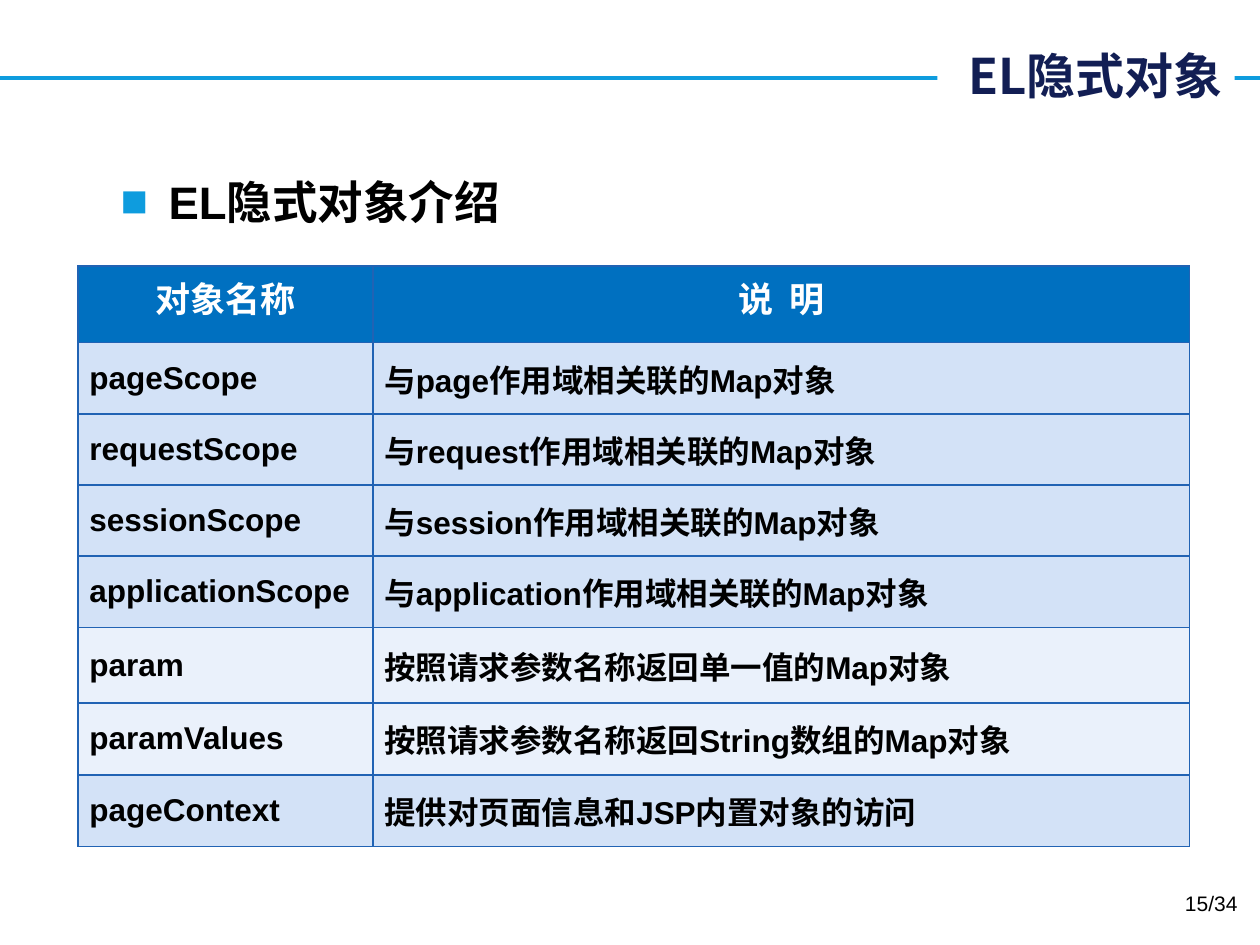
from lxml import etree
from pptx import Presentation
from pptx.dml.color import RGBColor
from pptx.enum.shapes import MSO_CONNECTOR, MSO_SHAPE
from pptx.enum.text import MSO_ANCHOR, PP_ALIGN
from pptx.oxml.ns import qn
from pptx.util import Inches, Pt

LEFT, CENTER, RIGHT = PP_ALIGN.LEFT, PP_ALIGN.CENTER, PP_ALIGN.RIGHT
TOP, MIDDLE = MSO_ANCHOR.TOP, MSO_ANCHOR.MIDDLE
STRAIGHT, RECTANGLE = MSO_CONNECTOR.STRAIGHT, MSO_SHAPE.RECTANGLE
LATIN_FONT, CHINESE_FONT = "Arial", "Noto Sans CJK SC"

ACCENT, NAVY, BLACK, WHITE = "0E9CDE", "121E54", "000000", "FFFFFF"
HEADER_FILL, BORDER = "0070C0", "2163B4"
SCOPE_FILL, PARAM_FILL = "D3E2F7", "EAF1FB"

HEADERS = ("对象名称", "说  明")
OBJECTS = [
    (f"{scope}Scope", f"与{scope}作用域相关联的Map对象", SCOPE_FILL)
    for scope in ("page", "request", "session", "application")
] + [
    ("param", "按照请求参数名称返回单一值的Map对象", PARAM_FILL),
    ("paramValues", "按照请求参数名称返回String数组的Map对象", PARAM_FILL),
    ("pageContext", "提供对页面信息和JSP内置对象的访问", SCOPE_FILL),
]
COLUMN_WIDTHS = (2.34, 6.48)
ROW_HEIGHTS = (0.61, 0.565, 0.565, 0.565, 0.565, 0.6, 0.57, 0.57)


def color(value):
    return RGBColor.from_string(value)


def set_attributes(target, values):
    for name, value in values.items():
        setattr(target, name, value)


def write_text(frame, text, size, font_color, name=LATIN_FONT, bold=True,
               align=LEFT, space=0):
    paragraph = frame.paragraphs[0]
    set_attributes(paragraph, {"alignment": align, "space_before": Pt(size * space)})
    run = paragraph.add_run()
    run.text = text
    set_attributes(run.font, {"size": Pt(size), "bold": bold, "name": name})
    run.font.color.rgb = color(font_color)
    east_asian = etree.SubElement(run.font._element, qn("a:ea"))
    east_asian.set("typeface", CHINESE_FONT)
    return paragraph


def add_rule(slide):
    line = slide.shapes.add_connector(
        STRAIGHT, Inches(0), Inches(0.62), Inches(10), Inches(0.62))
    line.line.color.rgb = color(ACCENT)
    line.line.width = Pt(2.25)
    etree.SubElement(line._element.spPr, qn("a:effectLst"))


def add_title(slide, text):
    shape = slide.shapes.add_shape(
        RECTANGLE, Inches(7.44), Inches(0.31), Inches(2.36), Inches(0.57))
    shape.shadow.inherit = False
    shape.fill.solid()
    shape.fill.fore_color.rgb = color(WHITE)
    shape.line.fill.background()
    set_attributes(shape.text_frame, {"word_wrap": False, "vertical_anchor": MIDDLE})
    write_text(shape.text_frame, text, 28, NAVY, CHINESE_FONT, align=RIGHT)


def add_text(slide, box, text, size, **options):
    shape = slide.shapes.add_textbox(*(Inches(value) for value in box))
    shape.text_frame.word_wrap = True
    return write_text(shape.text_frame, text, size, BLACK, **options)


def add_bullet(paragraph):
    properties = paragraph._p.get_or_add_pPr()
    properties.set("marL", str(Inches(0.38)))
    properties.set("indent", str(Inches(-0.38)))
    bullet_color = etree.SubElement(properties, qn("a:buClr"))
    etree.SubElement(bullet_color, qn("a:srgbClr")).set("val", ACCENT)
    etree.SubElement(properties, qn("a:buFont")).set("typeface", LATIN_FONT)
    etree.SubElement(properties, qn("a:buChar")).set("char", "■")


def add_borders(cell):
    properties = cell._tc.get_or_add_tcPr()
    for index, side in enumerate(("a:lnL", "a:lnR", "a:lnT", "a:lnB")):
        border = etree.Element(qn(side), w=str(Pt(1)))
        fill = etree.SubElement(border, qn("a:solidFill"))
        etree.SubElement(fill, qn("a:srgbClr")).set("val", BORDER)
        properties.insert(index, border)


def format_cell(cell, fill, anchor):
    cell.fill.solid()
    cell.fill.fore_color.rgb = color(fill)
    set_attributes(cell, {
        "vertical_anchor": anchor,
        "margin_left": Inches(0.09), "margin_right": Inches(0.09),
        "margin_top": Inches(0.05), "margin_bottom": Inches(0.05),
    })
    add_borders(cell)


def add_object_table(slide):
    table = slide.shapes.add_table(
        len(ROW_HEIGHTS), len(COLUMN_WIDTHS), Inches(0.62), Inches(2.11),
        Inches(sum(COLUMN_WIDTHS)), Inches(sum(ROW_HEIGHTS))).table
    for column, width in zip(table.columns, COLUMN_WIDTHS):
        column.width = Inches(width)
    for row, height in zip(table.rows, ROW_HEIGHTS):
        row.height = Inches(height)
    for cell, text in zip(table.rows[0].cells, HEADERS):
        format_cell(cell, HEADER_FILL, TOP)
        write_text(cell.text_frame, text, 20, WHITE, CHINESE_FONT,
                   align=CENTER, space=0.2)
    for index, (name, description, fill) in enumerate(OBJECTS, 1):
        for cell, text in zip(table.rows[index].cells, (name, description)):
            format_cell(cell, fill, MIDDLE)
            write_text(cell.text_frame, text, 18, BLACK,
                       space=0 if text == "pageScope" else 0.2)


def main():
    presentation = Presentation()
    set_attributes(presentation, {"slide_width": Inches(10), "slide_height": Inches(7.5)})
    slide = presentation.slides.add_slide(presentation.slide_layouts[6])
    add_rule(slide)
    add_title(slide, "EL隐式对象")
    heading = add_text(slide, (0.86, 1.33, 8.36, 5.62), "EL隐式对象介绍", 26, space=0.2)
    add_bullet(heading)
    add_object_table(slide)
    add_text(slide, (7.59, 7.02, 2.33, 0.4), "15/34", 12, bold=False, align=RIGHT)
    presentation.save("out.pptx")


if __name__ == "__main__":
    main()
